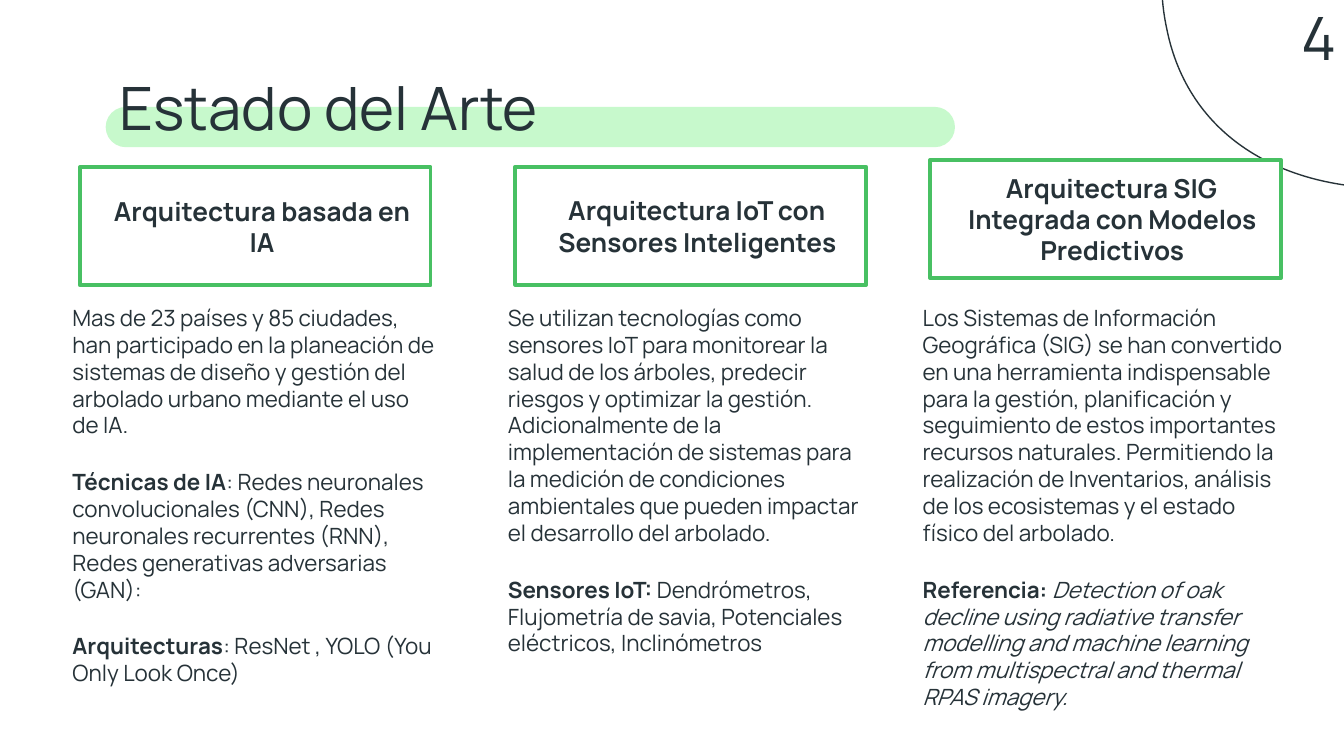
from lxml.etree import SubElement
from pptx import Presentation
from pptx.dml.color import RGBColor
from pptx.enum.shapes import MSO_SHAPE as Shape
from pptx.enum.text import MSO_ANCHOR as Anchor, PP_ALIGN as Align
from pptx.oxml.ns import qn
from pptx.util import Pt

FONT = "Manrope"
COLORS = {"ink": "263238", "green": "48C063", "mint": "C7F9CC", "white": "FFFFFF"}

# Content: a body paragraph is a list of (text, style) runs
TITLE = "Estado del Arte"
PAGE = "4"
COLUMNS = [
    {"left": 42.8, "top": 89.5, "indent": 0, "heading": "Arquitectura basada en IA",
     "body": [
         [("Mas de 23 países y 85 ciudades, han participado en la planeación de sistemas "
           "de diseño y gestión del arbolado urbano mediante el uso de IA.", "")],
         [("Técnicas de IA", "b"),
          (": Redes neuronales convolucionales (CNN), Redes neuronales recurrentes (RNN), "
           "Redes generativas adversarias (GAN):", "")],
         [("Arquitecturas", "b"), (": ResNet , YOLO (You Only Look Once)", "")],
     ]},
    {"left": 276.1, "top": 89.3, "indent": -0.7,
     "heading": "Arquitectura IoT con Sensores Inteligentes",
     "body": [
         [("Se utilizan tecnologías como sensores IoT para monitorear la salud de los "
           "árboles, predecir riesgos y optimizar la gestión. Adicionalmente de la "
           "implementación de sistemas para la medición de condiciones ambientales que "
           "pueden impactar el desarrollo del arbolado.", "")],
         [("Sensores IoT: ", "b"),
          ("Dendrómetros, Flujometría de savia, Potenciales eléctricos, Inclinómetros", "")],
     ]},
    {"left": 498.3, "top": 85.6, "indent": -0.7,
     "heading": "Arquitectura SIG Integrada con Modelos Predictivos",
     "body": [
         [("Los Sistemas de Información Geográfica (SIG) se han convertido en una "
           "herramienta indispensable para la gestión, planificación y seguimiento de "
           "estos importantes recursos naturales. Permitiendo la realización de "
           "Inventarios, análisis de los ecosistemas y el estado físico del arbolado.", "")],
         [("Referencia: ", "b"),
          ("Detection of oak decline using radiative transfer modelling and machine "
           "learning from multispectral and thermal RPAS imagery.", "i")],
     ]},
]
HEADING_SIZE = (187.9, 63.4)
BODY_SIZE = (210.2, 239)
BODY_TOP, BODY_SHIFT = 155.7, -11.1

# Corner blob: start point, then cubic curves (two controls and an end)
BLOB_START = (871.9, -133.2)
BLOB_CURVES = [
    ((866.2, -133.2), (859, -131), (851.8, -127.4)),
    ((823.7, -113), (821.5, -81.4), (783.4, -79.9)),
    ((779.8, -79.2), (776.2, -79.2), (772.6, -79.2)),
    ((754.6, -79.2), (737.3, -81.4), (721.4, -81.4)),
    ((702, -81.4), (682.6, -78.5), (661, -67)),
    ((625, -47.5), (617.8, -18.7), (625, 15.1)),
    ((636.5, 73.4), (686.9, 100.8), (744.5, 100.8)),
    ((769.7, 100.8), (795.6, 95.8), (820.1, 86.4)),
    ((899.3, 56.2), (936, -14.4), (918, -84.2)),
    ((913, -105.1), (897.8, -133.2), (871.9, -133.2)),
]

deck = Presentation()
deck.slide_width, deck.slide_height = Pt(720), Pt(405)
slide = deck.slides.add_slide(deck.slide_layouts[6])


def color(name):
    return RGBColor.from_string(COLORS[name])


def paint(shape, fill=None, line=None, width=1):
    shape.shadow.inherit = False
    if fill:
        shape.fill.solid()
        shape.fill.fore_color.rgb = color(fill)
    else:
        shape.fill.background()
    if line:
        shape.line.color.rgb = color(line)
        shape.line.width = Pt(width)
    else:
        shape.line.fill.background()


def add_block(kind, left, top, width, height):
    return slide.shapes.add_shape(kind, Pt(left), Pt(top), Pt(width), Pt(height))


def add_curved(start, curves):
    """Build a closed outline, then turn each three segments into one cubic curve."""
    builder = slide.shapes.build_freeform(*map(Pt, start), scale=1.0)
    builder.add_line_segments([tuple(map(Pt, point)) for curve in curves for point in curve])
    shape = builder.convert_to_shape()
    outline = next(shape._element.iter(qn("a:path")))
    segments = outline.findall(qn("a:lnTo"))
    for first in range(0, len(segments), 3):
        cubic = SubElement(outline, qn("a:cubicBezTo"))
        for segment in segments[first:first + 3]:
            cubic.append(segment[0])
            outline.remove(segment)
    SubElement(outline, qn("a:close"))
    return shape


def write(text, *, box=None, holder=None, size=12, bold=False, align=Align.LEFT,
          anchor=Anchor.TOP, after=0, margin=0, indent=0):
    """Write a string, or a list of paragraphs made of styled runs."""
    holder = holder or slide.shapes.add_textbox(*map(Pt, box))
    frame = holder.text_frame
    frame.word_wrap = True
    frame.vertical_anchor = anchor
    frame.margin_left = frame.margin_right = Pt(7.2)
    frame.margin_top = frame.margin_bottom = Pt(7.2)
    paragraphs = [[(text, "b" if bold else "")]] if isinstance(text, str) else text
    for number, runs in enumerate(paragraphs):
        paragraph = frame.add_paragraph() if number else frame.paragraphs[0]
        paragraph.alignment = align
        paragraph.space_after = Pt(after)
        if margin:
            props = paragraph._p.get_or_add_pPr()
            props.set("marL", str(Pt(margin)))
            props.set("indent", str(Pt(indent)))
        for words, style in runs:
            run = paragraph.add_run()
            run.text = words
            run.font.name, run.font.size = FONT, Pt(size)
            run.font.color.rgb = color("ink")
            run.font.bold, run.font.italic = style == "b", style == "i"


# Title highlight and corner outline
highlight = add_block(Shape.ROUNDED_RECTANGLE, 56.6, 57.3, 455, 21.6)
highlight.adjustments[0] = 0.5
paint(highlight, fill="mint")
paint(add_curved(BLOB_START, BLOB_CURVES), line="ink", width=0.75)

# Title and page number
write(TITLE, box=(56.9, 30.5, 607, 48.2), size=32)
write(PAGE, box=(690.2, 4.3, 29.5, 30.2), size=32, align=Align.CENTER, anchor=Anchor.MIDDLE)

# Columns: framed heading above its text
for column in COLUMNS:
    heading = add_block(Shape.RECTANGLE, column["left"], column["top"], *HEADING_SIZE)
    paint(heading, fill="white", line="green", width=2)
    write(column["heading"], holder=heading, size=14, bold=True, align=Align.CENTER,
          anchor=Anchor.MIDDLE, margin=7.2, indent=column["indent"])
    write(column["body"], box=(column["left"] + BODY_SHIFT, BODY_TOP, *BODY_SIZE), after=16)

deck.save("out.pptx")
